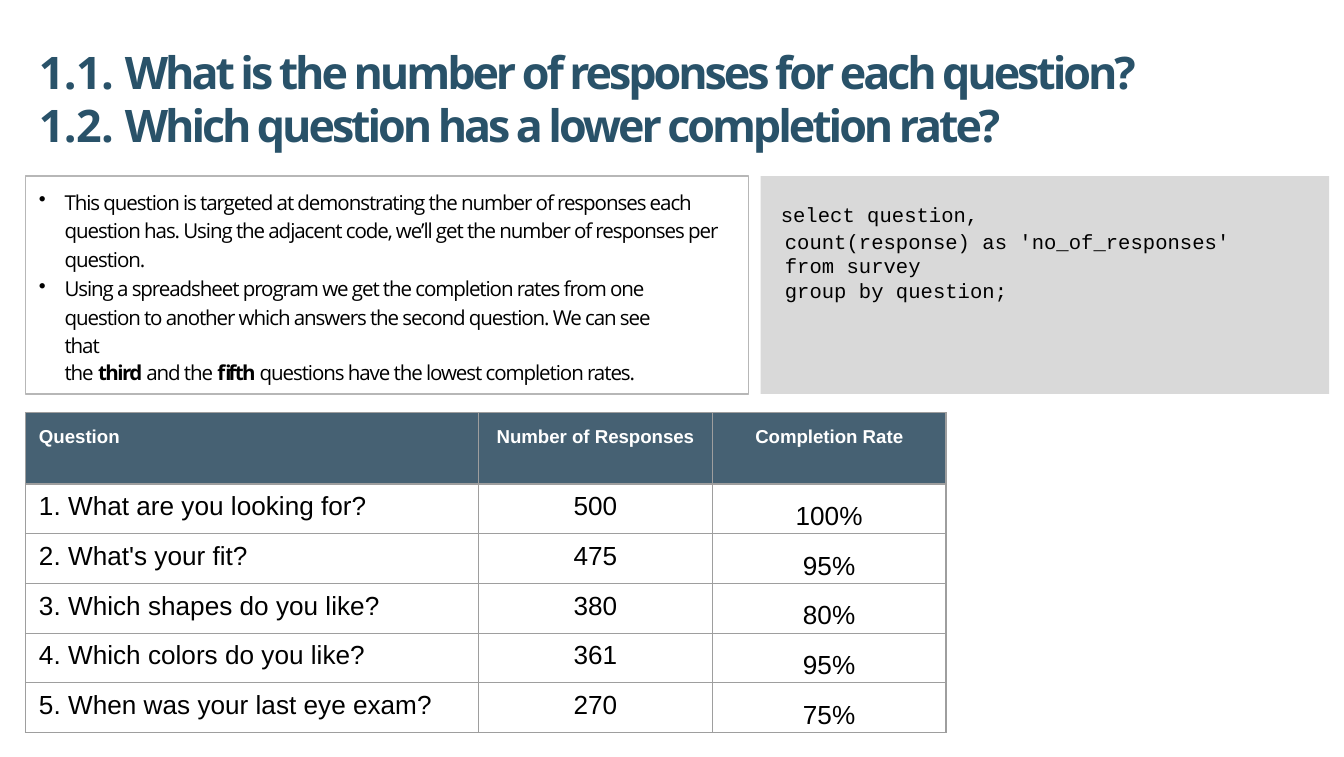
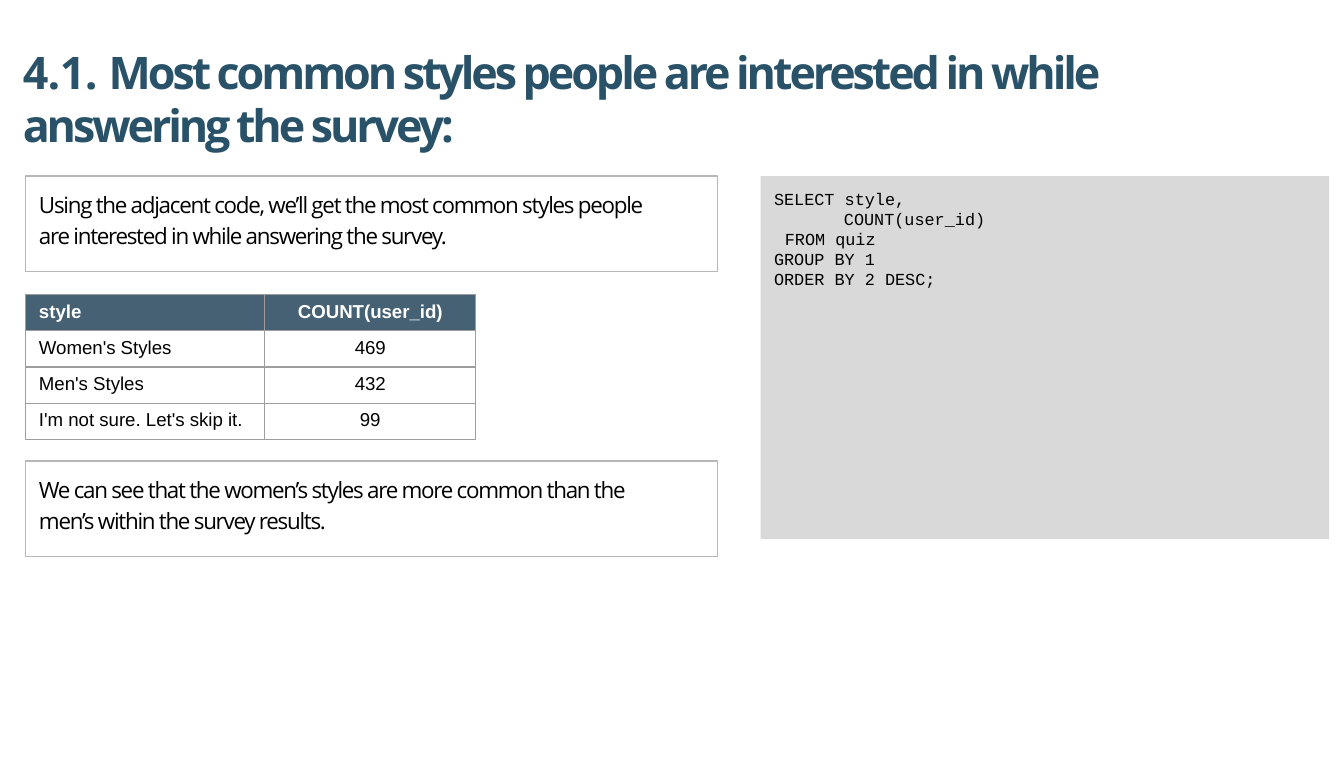
from dataclasses import dataclass

from lxml import etree
from pptx import Presentation
from pptx.dml.color import RGBColor
from pptx.enum import shapes, text
from pptx.oxml import ns
from pptx.util import Inches, Pt

# Shared style
TITLE_BLUE = RGBColor(0x29, 0x52, 0x69)
HEADER_BLUE = RGBColor(0x46, 0x61, 0x73)
CODE_GRAY = RGBColor(0xD9, 0xD9, 0xD9)
BOX_LINE = RGBColor(0xB7, 0xB7, 0xB7)
CELL_LINE = RGBColor(0x9E, 0x9E, 0x9E)
WHITE = RGBColor(0xFF, 0xFF, 0xFF)
BLACK = RGBColor(0, 0, 0)

LEFT = 0.19
CONTENT_TOP = 1.31
CODE_LEFT, CODE_WIDTH = 5.66, 4.23


@dataclass
class Style:
    font: str
    size: float
    color: RGBColor = BLACK
    bold: bool = False
    spacing: float = 0


TITLE_NUMBER = Style("Open Sans", 24, TITLE_BLUE, True, -0.3)
TITLE = Style("Open Sans", 24, TITLE_BLUE, True, -1.65)
BODY = Style("Open Sans", 11, spacing=-0.6)
BODY_BOLD = Style("Open Sans", 11, bold=True, spacing=-0.85)
NOTE = Style("Open Sans", 12, spacing=-0.67)
HEADER = Style("Arial", 10, WHITE, True)


class Deck:
    """Holds the presentation and the slide being built."""

    def __init__(self):
        self.presentation = Presentation()
        self.presentation.slide_width = Inches(10)
        self.presentation.slide_height = Inches(5.63)
        self.slide = None

    def new_slide(self):
        layout = self.presentation.slide_layouts[6]
        self.slide = self.presentation.slides.add_slide(layout)

    def add_run(self, paragraph, content, style):
        run = paragraph.add_run()
        run.text = content
        font = run.font
        font.name, font.size, font.bold = style.font, Pt(style.size), style.bold
        font.color.rgb = style.color
        if style.spacing:
            font._element.set("spc", str(round(style.spacing * 100)))

    def add_paragraph(self, frame, runs, indent=0, right=0, before=0,
                      line_spacing=None, bullet=False):
        first = frame.paragraphs[0]
        paragraph = frame.add_paragraph() if first.runs else first
        paragraph.alignment = text.PP_ALIGN.LEFT
        paragraph.space_before = Pt(before)
        if line_spacing:
            paragraph.line_spacing = line_spacing
        properties = paragraph._p.get_or_add_pPr()
        properties.set("marL", str(Inches(indent)))
        properties.set("marR", str(Inches(right)))
        properties.set("indent", str(Inches(-0.19 if bullet else 0)))
        if bullet:
            etree.SubElement(properties, ns.qn("a:buChar")).set("char", "•")
        for content, style in runs:
            self.add_run(paragraph, content, style)

    def set_frame(self, frame, top_margin):
        frame.word_wrap = True
        frame.vertical_anchor = text.MSO_ANCHOR.TOP
        frame.margin_left = frame.margin_right = frame.margin_bottom = 0
        frame.margin_top = Inches(top_margin)
        return frame

    def text_box(self, left, top, width, height, top_margin):
        box = self.slide.shapes.add_textbox(*map(Inches, (left, top, width, height)))
        return self.set_frame(box.text_frame, top_margin)

    def rectangle(self, left, top, width, height, fill=None, line=None):
        shape = self.slide.shapes.add_shape(
            shapes.MSO_SHAPE.RECTANGLE, *map(Inches, (left, top, width, height)))
        shape.shadow.inherit = False
        if fill is None:
            shape.fill.background()
        else:
            shape.fill.solid()
            shape.fill.fore_color.rgb = fill
        if line is None:
            shape.line.fill.background()
        else:
            shape.line.color.rgb = line
            shape.line.width = Pt(0.75)
        return shape

    def title(self, left, top, width, height, number, *lines):
        frame = self.text_box(left, top, width, height, 0.01)
        for index, line in enumerate(lines):
            runs = [(line, TITLE)]
            if index == 0:
                runs.insert(0, (number + " ", TITLE_NUMBER))
            self.add_paragraph(frame, runs, indent=0.01)

    def bordered_box(self, top, width, height, top_margin):
        shape = self.rectangle(LEFT, top, width, height, line=BOX_LINE)
        return self.set_frame(shape.text_frame, top_margin)

    def note(self, top, *lines):
        frame = self.bordered_box(top, 5.15, 0.71, 0.11)
        for index, line in enumerate(lines):
            self.add_paragraph(frame, [(line, NOTE)], indent=0.1,
                               before=2.1 if index else 0)

    def code(self, panel_height, width, height, size, top_margin, lines):
        self.rectangle(CODE_LEFT, CONTENT_TOP, CODE_WIDTH, panel_height, fill=CODE_GRAY)
        frame = self.text_box(5.75, 1.38, width, height, top_margin)
        style = Style("Courier New", size)
        for indent, line, before in lines:
            self.add_paragraph(frame, [(line, style)], indent=indent, before=before)

    def cell_border(self, cell):
        properties = cell._tc.get_or_add_tcPr()
        for index, side in enumerate(("lnL", "lnR", "lnT", "lnB")):
            line = etree.Element(ns.qn("a:" + side), w=str(Pt(0.75)))
            fill = etree.SubElement(line, ns.qn("a:solidFill"))
            etree.SubElement(fill, ns.qn("a:srgbClr"), val=str(CELL_LINE))
            properties.insert(index, line)

    def table(self, top, widths, heights, rows, size, header_margin, body_margins):
        frame = self.slide.shapes.add_table(
            len(rows), len(widths), Inches(LEFT), Inches(top),
            Inches(sum(widths)), Inches(sum(heights)))
        table = frame.table
        table.first_row = table.horz_banding = False
        for column, width in zip(table.columns, widths):
            column.width = Inches(width)
        for row, height in zip(table.rows, heights):
            row.height = Inches(height)
        body = Style("Arial", size)
        for row_index, row in enumerate(rows):
            for column_index, content in enumerate(row):
                cell = table.cell(row_index, column_index)
                is_header = row_index == 0
                cell.margin_left = cell.margin_right = cell.margin_bottom = 0
                cell.margin_top = Inches(
                    header_margin if is_header else body_margins[column_index])
                if is_header:
                    cell.fill.solid()
                    cell.fill.fore_color.rgb = HEADER_BLUE
                else:
                    cell.fill.background()
                self.cell_border(cell)
                self.add_paragraph(cell.text_frame,
                                   [(content, HEADER if is_header else body)],
                                   indent=0 if column_index else 0.1)
                if column_index:
                    cell.text_frame.paragraphs[0].alignment = text.PP_ALIGN.CENTER


def responses_slide(deck):
    deck.new_slide()
    deck.title(0.28, 0.32, 8.51, 0.43, "1.1.",
               "What is the number of responses for each question?")
    deck.title(0.28, 0.72, 7.4, 0.43, "1.2.",
               "Which question has a lower completion rate?")

    # Query
    deck.code(1.62, 3.83, 1.04, 11, 0.12, [
        (0.06, "select question,", 0),
        (0.09, "count(response) as 'no_of_responses'", 1.2),
        (0.09, "from survey", 0),
        (0.09, "group by question;", 0),
    ])

    # Explanation
    frame = deck.bordered_box(CONTENT_TOP, 5.38, 1.62, 0.07)
    deck.add_paragraph(frame, [(
        "This question is targeted at demonstrating the number of responses each "
        "question has. Using the adjacent code, we’ll get the number of responses "
        "per question.", BODY)], indent=0.29, right=0.2, line_spacing=1.16, bullet=True)
    deck.add_paragraph(frame, [(
        "Using a spreadsheet program we get the completion rates from one "
        "question to another which answers the second question. We can see that",
        BODY)], indent=0.29, right=0.45, before=0.8, line_spacing=Pt(15.1), bullet=True)
    deck.add_paragraph(frame, [
        ("the ", BODY), ("third ", BODY_BOLD), ("and the ", BODY), ("fifth ", BODY_BOLD),
        ("questions have the lowest completion rates.", BODY)], indent=0.29, before=1.4)

    # Completion rates
    deck.table(3.07, [3.37, 1.74, 1.74], [0.53] + [0.37] * 5, [
        ("Question", "Number of Responses", "Completion Rate"),
        ("1. What are you looking for?", "500", "100%"),
        ("2. What's your fit?", "475", "95%"),
        ("3. Which shapes do you like?", "380", "80%"),
        ("4. Which colors do you like?", "361", "95%"),
        ("5. When was your last eye exam?", "270", "75%"),
    ], 14, 0.1, [0.06, 0.06, 0.13])


def styles_slide(deck):
    deck.new_slide()
    deck.title(0.16, 0.32, 8.33, 0.83, "4.1.",
               "Most common styles people are interested in while",
               "answering the survey:")

    # Query
    deck.code(2.7, 1.6, 0.78, 9, 0.02, [
        (0.01, "SELECT style,", 0),
        (0.53, "COUNT(user_id)", 0),
        (0.09, "FROM quiz", 0),
        (0.01, "GROUP BY 1", 0),
        (0.01, "ORDER BY 2 DESC;", 0),
    ])

    # Notes around the style counts
    deck.note(CONTENT_TOP, "Using the adjacent code, we’ll get the most common styles people",
              "are interested in while answering the survey.")
    deck.table(2.19, [1.78, 1.57], [0.27] * 4, [
        ("style", "COUNT(user_id)"),
        ("Women's Styles", "469"),
        ("Men's Styles", "432"),
        ("I'm not sure. Let's skip it.", "99"),
    ], 10, 0.05, [0.05, 0.05])
    deck.note(3.43, "We can see that the women’s styles are more common than the",
              "men’s within the survey results.")


def main():
    deck = Deck()
    responses_slide(deck)
    styles_slide(deck)
    deck.presentation.save("out.pptx")


if __name__ == "__main__":
    main()
